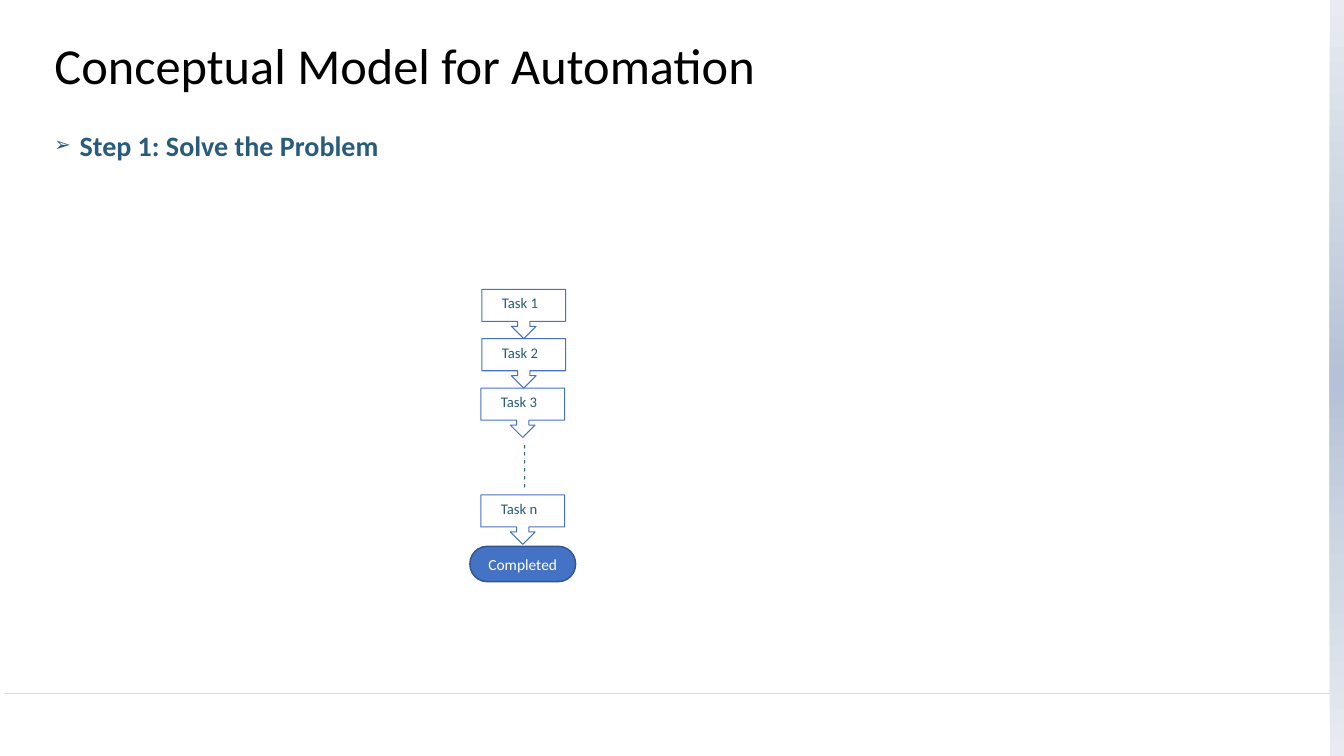
from dataclasses import dataclass

from lxml.etree import SubElement
from pptx import Presentation
from pptx.dml.color import RGBColor
from pptx.enum.shapes import MSO_CONNECTOR, MSO_SHAPE
from pptx.enum.text import MSO_ANCHOR, MSO_AUTO_SIZE, PP_ALIGN
from pptx.oxml import parse_xml
from pptx.oxml.ns import nsdecls, qn
from pptx.util import Emu, Pt

PX = 9144
FONT = "Calibri"
BLACK = RGBColor(0x00, 0x00, 0x00)
WHITE = RGBColor(0xFF, 0xFF, 0xFF)
TEAL = RGBColor(0x28, 0x5B, 0x7C)
BLUE = RGBColor(0x44, 0x72, 0xC4)
NAVY = RGBColor(0x32, 0x54, 0x91)
GREY = RGBColor(0xD9, 0xD9, 0xD9)
BAR_STOPS = (
    (0, RGBColor(0xB4, 0xC1, 0xD6)),
    (50, RGBColor(0xD0, 0xD8, 0xE4)),
    (100, RGBColor(0xE8, 0xEB, 0xF1)),
)


@dataclass(frozen=True)
class Box:
    x: int
    y: int
    w: int
    h: int

    def emu(self) -> tuple[Emu, ...]:
        return tuple(Emu(v * PX) for v in (self.x, self.y, self.w, self.h))


@dataclass(frozen=True)
class Task:
    label: str
    x: int
    y: int


TASK_TOP, TASK_STEP = 287, 49
TASKS = [
    Task(f"Task {i + 1}", x, TASK_TOP + i * TASK_STEP)
    for i, x in enumerate((478, 478, 477))
] + [Task("Task n", 477, 491)]


def add_run(p, text: str, size: float, color: RGBColor, bold: bool = False) -> None:
    r = p.add_run()
    r.text = text
    r.font.name = FONT
    r.font.size = Pt(size)
    r.font.bold = bold
    r.font.color.rgb = color


def place(sp, box: Box) -> None:
    sp.left, sp.top, sp.width, sp.height = box.emu()


def add_shape(slide, kind, box: Box, fill=None, line=None, width: float = 1):
    sp = slide.shapes.add_shape(kind, *box.emu())
    sp.shadow.inherit = False
    if fill is None:
        sp.fill.background()
    else:
        sp.fill.solid()
        sp.fill.fore_color.rgb = fill
    if line is None:
        sp.line.fill.background()
    else:
        sp.line.color.rgb = line
        sp.line.width = Pt(width)
    return sp


def add_label(slide, text: str, box: Box, rotation: int = 0) -> None:
    sp = slide.shapes.add_textbox(*box.emu())
    sp.rotation = rotation
    tf = sp.text_frame
    tf.word_wrap = True
    tf.auto_size = MSO_AUTO_SIZE.SHAPE_TO_FIT_TEXT
    add_run(tf.paragraphs[0], text, 10.5, TEAL)


def add_side_bar(slide) -> None:
    sp = add_shape(slide, MSO_SHAPE.RECTANGLE, Box(1319, 0, 14, 750), fill=WHITE)
    stops = "".join(
        f'<a:gs pos="{pos * 1000}"><a:srgbClr val="{color}"/></a:gs>'
        for pos, color in BAR_STOPS
    )
    grad = parse_xml(
        f'<a:gradFill {nsdecls("a")} rotWithShape="1"><a:gsLst>{stops}</a:gsLst>'
        '<a:path path="circle"><a:fillToRect l="50000" t="50000" r="50000" b="50000"/>'
        "</a:path></a:gradFill>"
    )
    pr = sp.element.spPr
    pr.replace(pr.find(qn("a:solidFill")), grad)


def add_footer_line(slide) -> None:
    line = slide.shapes.add_connector(
        MSO_CONNECTOR.STRAIGHT, *(Emu(v * PX) for v in (4, 688, 1333, 688))
    )
    line.line.color.rgb = GREY
    line.line.width = Pt(0.5)
    SubElement(line.element.spPr, qn("a:effectLst"))


def fill_title(sp) -> None:
    place(sp, Box(44, 26, 1106, 75))
    tf = sp.text_frame
    tf.auto_size = MSO_AUTO_SIZE.NONE
    tf.vertical_anchor = MSO_ANCHOR.MIDDLE
    p = tf.paragraphs[0]
    p.alignment = PP_ALIGN.LEFT
    add_run(p, "Conceptual Model for Automation", 36, BLACK)


def fill_body(sp) -> None:
    place(sp, Box(44, 122, 1202, 76))
    tf = sp.text_frame
    tf.auto_size = MSO_AUTO_SIZE.NONE
    p = tf.paragraphs[0]
    p.space_before = Pt(6)
    add_run(p, "Step 1: Solve the Problem", 20, TEAL, bold=True)
    ppr = p._p.get_or_add_pPr()
    ppr.set("marL", str(25 * PX))
    ppr.set("indent", str(-25 * PX))
    SubElement(SubElement(ppr, qn("a:buClr")), qn("a:srgbClr"), val=str(TEAL))
    SubElement(ppr, qn("a:buSzPct"), val="70000")
    SubElement(ppr, qn("a:buChar"), char="➢")


def add_task(slide, task: Task) -> None:
    add_shape(
        slide, MSO_SHAPE.DOWN_ARROW_CALLOUT,
        Box(task.x, task.y, 83, TASK_STEP), line=BLUE, width=0.75,
    )
    add_label(slide, task.label, Box(task.x + 10, task.y, 63, 29))


def add_completed(slide) -> None:
    sp = add_shape(
        slide, MSO_SHAPE.FLOWCHART_TERMINATOR, Box(466, 542, 105, 35), BLUE, NAVY
    )
    tf = sp.text_frame
    tf.vertical_anchor = MSO_ANCHOR.MIDDLE
    p = tf.paragraphs[0]
    p.alignment = PP_ALIGN.CENTER
    add_run(p, "Completed", 11, WHITE)


def main() -> None:
    prs = Presentation()
    prs.slide_width, prs.slide_height = Emu(1333 * PX), Emu(750 * PX)
    slide = prs.slides.add_slide(prs.slide_layouts[1])
    add_footer_line(slide)
    add_side_bar(slide)
    fill_title(slide.shapes.title)
    fill_body(slide.placeholders[1])
    for task in TASKS:
        add_task(slide, task)
    add_label(slide, "- - - - - -", Box(479, 440, 80, 28), rotation=270)
    add_completed(slide)
    prs.save("out.pptx")


if __name__ == "__main__":
    main()
